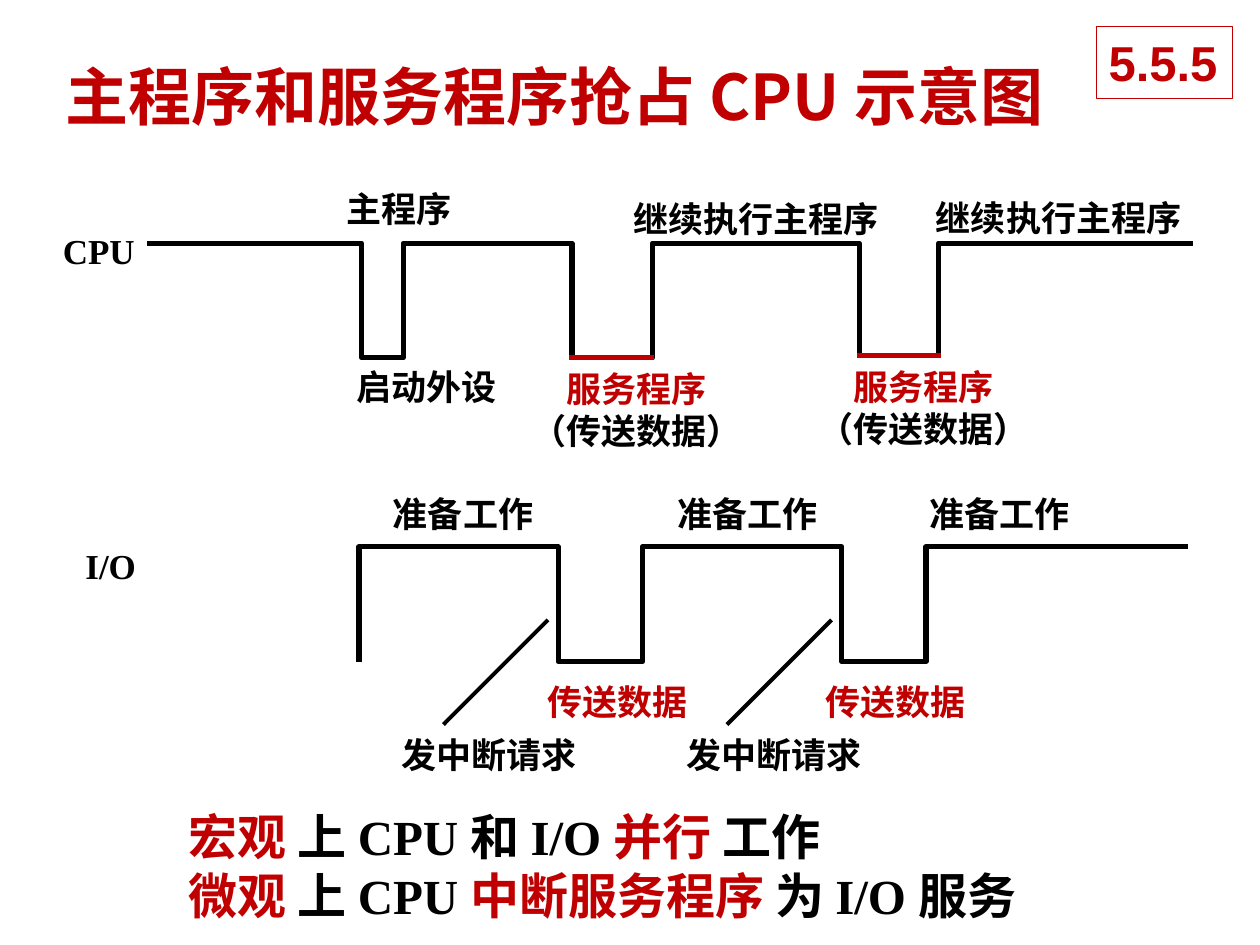
import pptx
import pptx.util
import pptx.dml.color
import pptx.enum.shapes
import pptx.enum.text
import pptx.oxml
import pptx.oxml.ns
from pptx.util import Inches

RED = pptx.dml.color.RGBColor(0xC0, 0x00, 0x00)
BLACK = pptx.dml.color.RGBColor(0x00, 0x00, 0x00)
WHITE = pptx.dml.color.RGBColor(0xFF, 0xFF, 0xFF)
HAN = "Noto Sans CJK SC"
SERIF = "Times New Roman"


def sub(node, tag):
    child = pptx.oxml.ns.qn(tag)
    item = node.makeelement(child, {})
    node.append(item)
    return item


def write(shape, lines, size, face=SERIF, wrap=False, center=False, drop=0.0):
    """Fill a shape with lines, each a list of (text, color) runs."""
    frame = shape.text_frame
    frame.word_wrap = wrap
    frame.margin_top = Inches(0.05 + drop)
    frame.vertical_anchor = pptx.enum.text.MSO_ANCHOR.TOP
    align = pptx.enum.text.PP_ALIGN
    for num, line in enumerate(lines):
        para = frame.add_paragraph() if num else frame.paragraphs[0]
        para.alignment = align.CENTER if center else align.LEFT
        para.line_spacing = pptx.util.Pt(round(size * 1.2, 1))
        for text, color in line:
            run = para.add_run()
            run.text = text
            font = run.font
            font.name = face
            font.size = pptx.util.Pt(size)
            font.bold = True
            font.color.rgb = color
            sub(run._r.get_or_add_rPr(), "a:ea").set("typeface", HAN)


def label(slide, left, top, wide, high, lines, size=20, **style):
    box = slide.shapes.add_textbox(
        Inches(left), Inches(top), Inches(wide), Inches(high))
    write(box, lines, size, **style)


def wave(slide, start, edges, end, levels):
    """Draw a square wave that moves to the next level at each edge."""
    points = []
    left = start
    for right, level in zip(edges + [end], levels):
        points += [(left, level), (right, level)]
        left = right
    spots = [(Inches(x), Inches(y)) for x, y in points]
    path = slide.shapes.build_freeform(*spots[0])
    path.add_line_segments(spots[1:], close=False)
    shape = path.convert_to_shape()
    shape.shadow.inherit = False
    shape.fill.background()
    shape.line.color.rgb = BLACK
    shape.line.width = pptx.util.Pt(3)


def stroke(slide, x1, y1, x2, y2, color, width):
    line = slide.shapes.add_connector(
        pptx.enum.shapes.MSO_CONNECTOR.STRAIGHT,
        Inches(x1), Inches(y1), Inches(x2), Inches(y2))
    line.line.color.rgb = color
    line.line.width = pptx.util.Pt(width)
    sub(line._element.spPr, "a:effectLst")


def badge(slide, text):
    box = slide.shapes.add_shape(
        pptx.enum.shapes.MSO_SHAPE.RECTANGLE,
        Inches(8.7), Inches(0.21), Inches(1.08), Inches(0.57))
    box.shadow.inherit = False
    box.fill.solid()
    box.fill.fore_color.rgb = WHITE
    box.line.color.rgb = RED
    box.line.width = pptx.util.Pt(0.75)
    write(box, [[(text, RED)]], 28, face="Arial")


def notes(slide, items):
    """Place one-line labels given as (text, left, top, width, color)."""
    for text, left, top, wide, color in items:
        label(slide, left, top, wide, 0.43, [[(text, color)]], drop=0.02)


def cpu(slide):
    wave(slide, 1.17, [2.87, 3.2, 4.54, 5.18, 6.82, 7.45], 9.47,
         [1.93, 2.84, 1.93, 2.84, 1.93, 2.82, 1.93])
    label(slide, 0.4, 1.77, 0.77, 0.43, [[("CPU", BLACK)]])
    notes(slide, [
        ("主程序", 2.65, 1.42, 1.04, BLACK),
        ("继续执行主程序", 4.93, 1.5, 2.16, BLACK),
        ("继续执行主程序", 7.33, 1.49, 2.16, BLACK),
        ("启动外设", 2.73, 2.83, 1.32, BLACK),
    ])
    for left, top in ((4.52, 2.84), (6.8, 2.82)):
        stroke(slide, left, top, left + 0.67, top, RED, 3)
        label(slide, left - 0.42, top + 0.01, 1.9, 0.77,
              [[("服务程序", RED)], [("（传送数据）", BLACK)]],
              center=True, drop=0.02)


def device(slide):
    high, low = 4.34, 5.25
    wave(slide, 2.85, [2.85, 4.43, 5.1, 6.68, 7.35], 9.43, [low, high] * 3)
    label(slide, 0.58, 4.27, 0.6, 0.43, [[("I/O", BLACK)]])
    notes(slide, [("准备工作", x, 3.84, 1.32, BLACK)
                  for x in (3.02, 5.28, 7.28)])
    notes(slide, [("传送数据", x, 5.33, 1.33, RED) for x in (4.25, 6.45)])
    notes(slide, [("发中断请求", x, 5.75, 1.6, BLACK) for x in (3.09, 5.35)])
    for x in (3.52, 5.77):
        stroke(slide, x, 5.75, x + 0.83, 4.92, BLACK, 2.25)


def main():
    deck = pptx.Presentation()
    deck.slide_width, deck.slide_height = Inches(10), Inches(7.5)
    slide = deck.slides.add_slide(deck.slide_layouts[6])
    label(slide, 0.42, 0.38, 8.13, 0.7,
          [[("主程序和服务程序抢占 CPU 示意图", RED)]],
          size=36, face=HAN, wrap=True, drop=0.03)
    device(slide)
    label(slide, 1.4, 6.32, 8.02, 1.03, [
        [("宏观 ", RED), ("上 CPU 和 I/O ", BLACK),
         ("并行 ", RED), ("工作", BLACK)],
        [("微观 ", RED), ("上 CPU ", BLACK),
         ("中断服务程序 ", RED), ("为 I/O 服务", BLACK)],
    ], size=28, wrap=True, drop=0.03)
    cpu(slide)
    badge(slide, "5.5.5")
    deck.save("out.pptx")


if __name__ == "__main__":
    main()
